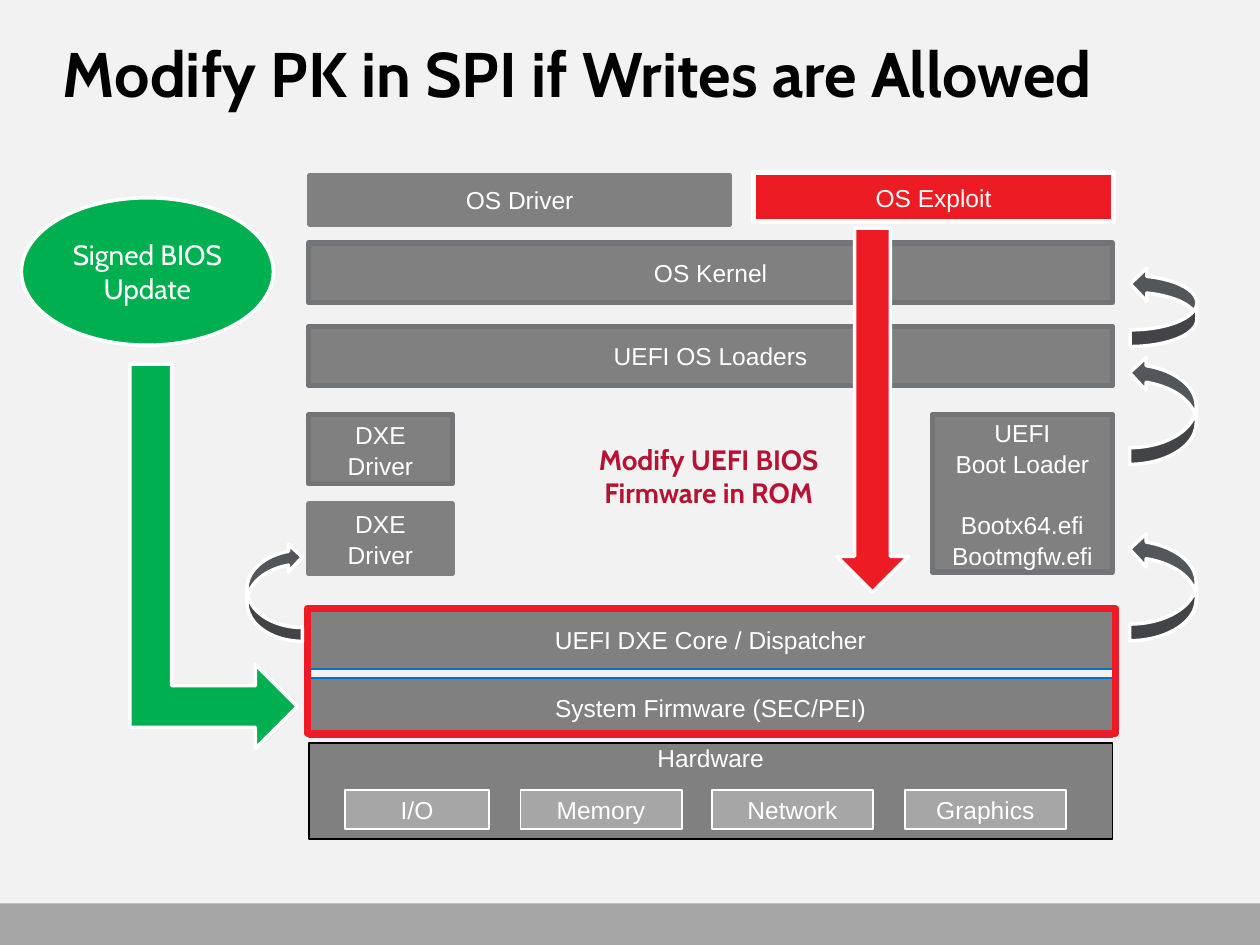
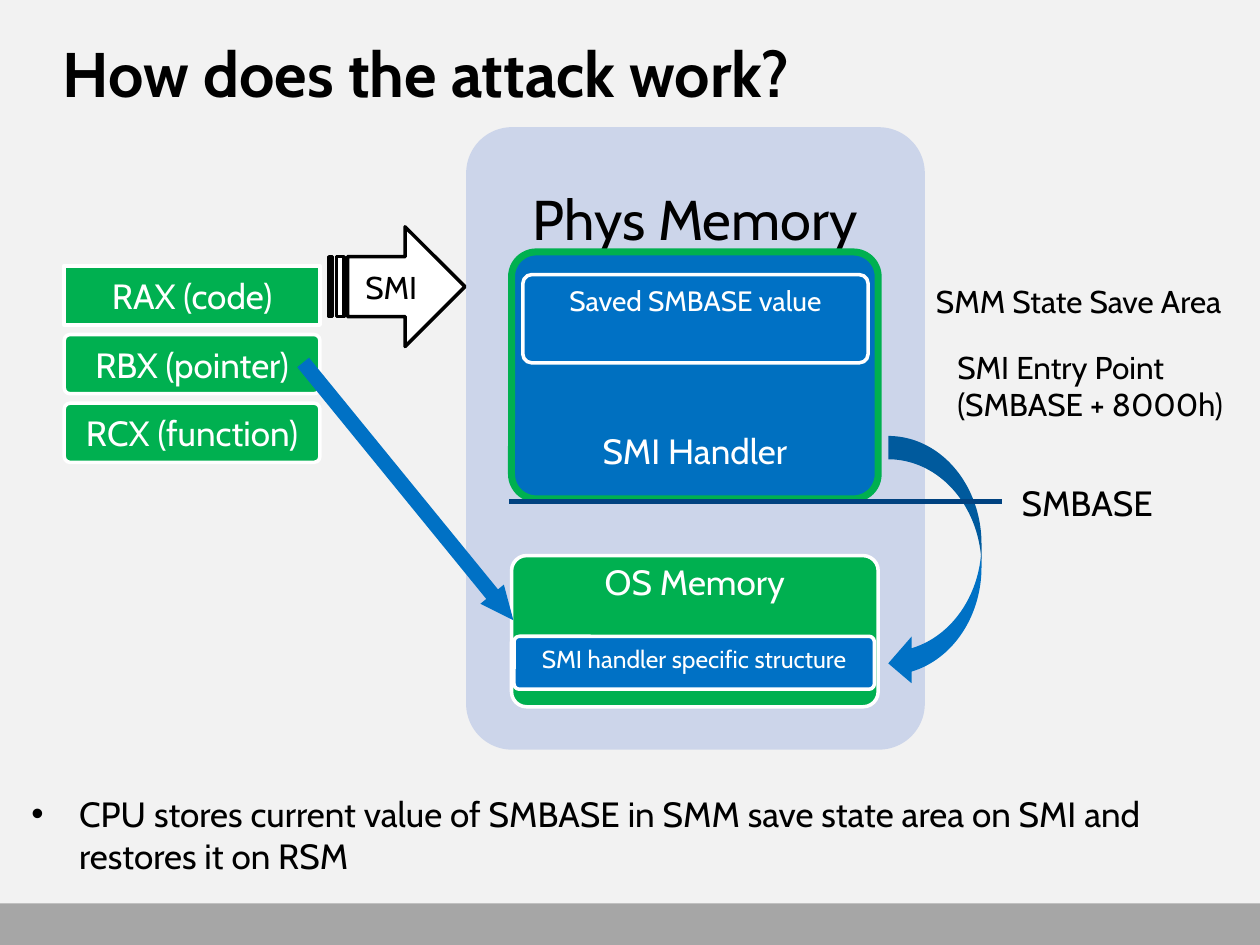
from lxml.etree import SubElement
from pptx import Presentation
from pptx.dml.color import RGBColor
from pptx.enum.shapes import MSO_CONNECTOR, MSO_SHAPE as Preset
from pptx.enum.text import MSO_ANCHOR as Anchor, PP_ALIGN as Align
from pptx.oxml.ns import qn
from pptx.util import Inches, Pt

BACKGROUND, BAND = "F2F2F2", "A6A6A6"
BLACK, WHITE, GREEN, RED = "000000", "FFFFFF", "00B050", "ED1C24"
GREY, EDGE, SLATE, CRIMSON = "808080", "727478", "53565A", "B71234"
BLUE, DEEP_BLUE, NAVY, LAVENDER = "0071C5", "0070C0", "004280", "CCD5EA"
BODY_FONT, LABEL_FONT = "Cabin", "Arial"

# Slide 1: the boot stack, from the hardware up
STACK_LEFT, STACK_WIDTH = 2.45, 6.38
BAR_HEIGHT = 0.47
BARS = [  # text, top, line colour, line width
    ("UEFI DXE Core / Dispatcher", 4.84, BLUE, 1),
    ("System Firmware (SEC/PEI)", 5.38, BLUE, 1),
    ("UEFI OS Loaders", 2.59, EDGE, 3),
    ("OS Kernel", 1.93, EDGE, 3),
]
MODULES = [  # lines, box, fill, line colour
    (["DXE", "Driver"], (STACK_LEFT, 4, 1.14, 0.55), GREY, GREY),
    (["DXE", "Driver"], (STACK_LEFT, 3.29, 1.14, 0.55), GREY, EDGE),
    (["OS Driver"], (2.46, 1.39, 3.33, 0.39), GREY, GREY),
    (["OS Exploit"], (5.98, 1.37, 2.86, 0.39), RED, WHITE),
]
BOOT_LOADER = ["UEFI", "Boot Loader", "Bootx64.efi", "Bootmgfw.efi"]
DEVICES = [  # text, left, width
    ("I/O", 2.74, 1.14),
    ("Memory", 4.13, 1.28),
    ("Network", 5.65, 1.28),
    ("Graphics", 7.18, 1.28),
]
HANDOVERS = [  # preset, box before the quarter turn
    (Preset.CURVED_DOWN_ARROW, (1.79, 4.48, 0.78, 0.44)),
    (Preset.CURVED_UP_ARROW, (8.8, 4.39, 0.86, 0.53)),
    (Preset.CURVED_UP_ARROW, (8.8, 2.99, 0.86, 0.53)),
    (Preset.CURVED_UP_ARROW, (8.92, 2.17, 0.63, 0.53)),
]

# Slide 2: registers, memory and the labels beside it
REGISTERS = [("RAX (code)", 0), ("RBX (pointer)", 0.1), ("RCX (function)", 0.1)]
REGISTER_TOP, REGISTER_STEP = 2.11, 0.545
MEMORY_LABELS = [  # text, box, size
    ("SMBASE", (8.01, 3.77, 1.42, 0.44), 20),
    ("SMM State Save Area", (7.33, 2.19, 2.6, 0.4), 18),
    ("SMI Entry Point (SMBASE + 8000h)", (7.5, 2.71, 2.43, 0.71), 18),
]
SMBASE_NOTE = ("CPU stores current value of SMBASE in SMM save state area "
               "on SMI and restores it on RSM")


def rgb(color):
    return RGBColor.from_string(color)


def write(shape, lines, size, color, font=BODY_FONT, bold=False,
          align=Align.CENTER, anchor=Anchor.TOP, insets=None):
    """Fill a shape with one paragraph per line; insets are left, top, right, bottom."""
    frame = shape.text_frame
    frame.word_wrap = True
    frame.vertical_anchor = anchor
    if insets:
        (frame.margin_left, frame.margin_top,
         frame.margin_right, frame.margin_bottom) = map(Inches, insets)
    for index, line in enumerate(lines):
        paragraph = frame.add_paragraph() if index else frame.paragraphs[0]
        paragraph.alignment = align
        run = paragraph.add_run()
        run.text = line
        run.font.name = font
        run.font.size = Pt(size)
        run.font.bold = bold
        run.font.color.rgb = rgb(color)
    return frame


def draw(slide, preset, box, fill=None, line=None, width=2, turn=0, adjust=()):
    shape = slide.shapes.add_shape(preset, *map(Inches, box))
    shape.shadow.inherit = False
    if fill:
        shape.fill.solid()
        shape.fill.fore_color.rgb = rgb(fill)
    else:
        shape.fill.background()
    if line:
        shape.line.color.rgb = rgb(line)
        shape.line.width = Pt(width)
    else:
        shape.line.fill.background()
    shape.rotation = turn
    for index, value in enumerate(adjust):
        shape.adjustments[index] = value
    return shape


def rounded(slide, box, fill=None, line=None, width=2, corner=0.1):
    return draw(slide, Preset.ROUNDED_RECTANGLE, box, fill, line, width,
                adjust=[corner])


def stack_block(slide, lines, box, fill, line, width, anchor=Anchor.MIDDLE):
    block = rounded(slide, box, fill, line, width, corner=0)
    frame = write(block, lines, 14, WHITE, LABEL_FONT, anchor=anchor,
                  insets=(0, 0, 0, 0))
    if len(lines) > 1:
        for paragraph in frame.paragraphs:
            paragraph.line_spacing = 1.05
    return frame


def label(slide, text, box, size, color=BLACK, **style):
    text_box = slide.shapes.add_textbox(*map(Inches, box))
    return write(text_box, [text], size, color, **style)


def new_slide(deck, title):
    """Add a slide with the shared background, footer band and title."""
    slide = deck.slides.add_slide(deck.slide_layouts[6])
    slide.background.fill.solid()
    slide.background.fill.fore_color.rgb = rgb(BACKGROUND)
    draw(slide, Preset.RECTANGLE, (0, 7.17, 10, 0.33), BAND)
    label(slide, title, (0.5, 0.27, 9.17, 1.08), 36, bold=True,
          align=Align.LEFT, insets=(0, 0, 0, 0))
    return slide


def build_firmware_slide(deck):
    slide = new_slide(deck, "Modify PK in SPI if Writes are Allowed")
    stack_block(slide, ["Hardware"], (STACK_LEFT, 5.9, STACK_WIDTH, 0.76),
                GREY, BLACK, 1, Anchor.TOP)
    for device, left, width in DEVICES:
        stack_block(slide, [device], (left, 6.27, width, 0.31), BAND, WHITE, 1)
    for text, top, line, width in BARS:
        stack_block(slide, [text], (STACK_LEFT, top, STACK_WIDTH, BAR_HEIGHT),
                    GREY, line, width)
    for lines, box, fill, line in MODULES:
        stack_block(slide, lines, box, fill, line, 3)
    boot_loader = stack_block(slide, BOOT_LOADER, (7.4, 3.29, 1.43, 1.25),
                              GREY, EDGE, 3)
    boot_loader.paragraphs[2].space_before = Pt(17)
    rounded(slide, (2.44, 4.83, 6.41, 0.99), line=RED, width=4, corner=0)

    draw(slide, Preset.BENT_UP_ARROW, (0.17, 3.75, 3.05, 1.33), GREEN, WHITE,
         turn=90)
    update = draw(slide, Preset.OVAL, (0.17, 1.57, 2, 1.17), GREEN, WHITE)
    write(update, ["Signed BIOS", "Update"], 16, WHITE, anchor=Anchor.MIDDLE)
    for preset, box in HANDOVERS:
        draw(slide, preset, box, SLATE, WHITE, turn=270)
    draw(slide, Preset.DOWN_ARROW, (6.64, 1.81, 0.57, 2.89), RED, WHITE)
    label(slide, "Modify UEFI BIOS Firmware in ROM", (4.51, 3.46, 2.23, 0.64),
          16, CRIMSON, bold=True)


def add_bullet(paragraph, indent):
    properties = paragraph._p.get_or_add_pPr()
    properties.set("marL", str(Inches(indent)))
    properties.set("indent", str(-Inches(indent)))
    SubElement(properties, qn("a:buFont")).set("typeface", LABEL_FONT)
    SubElement(properties, qn("a:buChar")).set("char", "•")


def add_smbase_line(slide):
    line = slide.shapes.add_connector(
        MSO_CONNECTOR.STRAIGHT, *map(Inches, (7.95, 3.98, 4.04, 3.98)))
    line.line.color.rgb = rgb(NAVY)
    line.line.width = Pt(3)
    SubElement(line._element.spPr, qn("a:effectLst"))


def build_attack_slide(deck):
    slide = new_slide(deck, "How does the attack work?")
    memory = rounded(slide, (3.7, 1.01, 3.64, 4.94), LAVENDER)
    write(memory, ["Phys Memory"], 32, BLACK, insets=(0.1, 0.35, 0.1, 0.1))
    handler = rounded(slide, (4.06, 2, 2.91, 1.96), DEEP_BLUE, GREEN, 4)
    write(handler, ["SMI Handler"], 20, WHITE, anchor=Anchor.BOTTOM,
          insets=(0.1, 0.1, 0.1, 0.16))
    os_memory = rounded(slide, (4.06, 4.41, 2.91, 1.2), GREEN, WHITE)
    write(os_memory, ["OS Memory"], 20, WHITE, insets=(0.1, 0, 0.1, 0))

    note = label(slide, SMBASE_NOTE, (0.15, 6.24, 9.56, 0.77), 20,
                 align=Align.LEFT)
    add_bullet(note.paragraphs[0], 0.38)

    draw(slide, Preset.CURVED_LEFT_ARROW, (7.05, 3.46, 0.74, 1.99), BLUE)
    for row, (register, corner) in enumerate(REGISTERS):
        box = (0.51, REGISTER_TOP + row * REGISTER_STEP, 2.03, 0.47)
        write(rounded(slide, box, GREEN, WHITE, corner=corner), [register],
              20, WHITE, anchor=Anchor.MIDDLE, insets=(0.07, 0.05, 0.07, 0.05))

    structure = rounded(slide, (4.08, 5.05, 2.86, 0.42), BLUE, WHITE)
    write(structure, ["SMI handler specific structure"], 14, WHITE)
    interrupt = draw(slide, Preset.STRIPED_RIGHT_ARROW, (2.61, 1.8, 1.08, 0.95),
                     WHITE, BLACK)
    write(interrupt, ["SMI"], 18, BLACK, anchor=Anchor.MIDDLE)
    draw(slide, Preset.RIGHT_ARROW, (1.92, 3.78, 2.64, 0.24), BLUE, turn=50.8,
         adjust=[0.5, 1.11])
    add_smbase_line(slide)
    saved_value = rounded(slide, (4.15, 2.18, 2.74, 0.7), BLUE, WHITE)
    write(saved_value, ["Saved SMBASE value"], 16, WHITE)
    for text, box, size in MEMORY_LABELS:
        label(slide, text, box, size, align=Align.LEFT)


def main():
    deck = Presentation()
    deck.slide_width, deck.slide_height = Inches(10), Inches(7.5)
    build_firmware_slide(deck)
    build_attack_slide(deck)
    deck.save("out.pptx")


if __name__ == "__main__":
    main()
